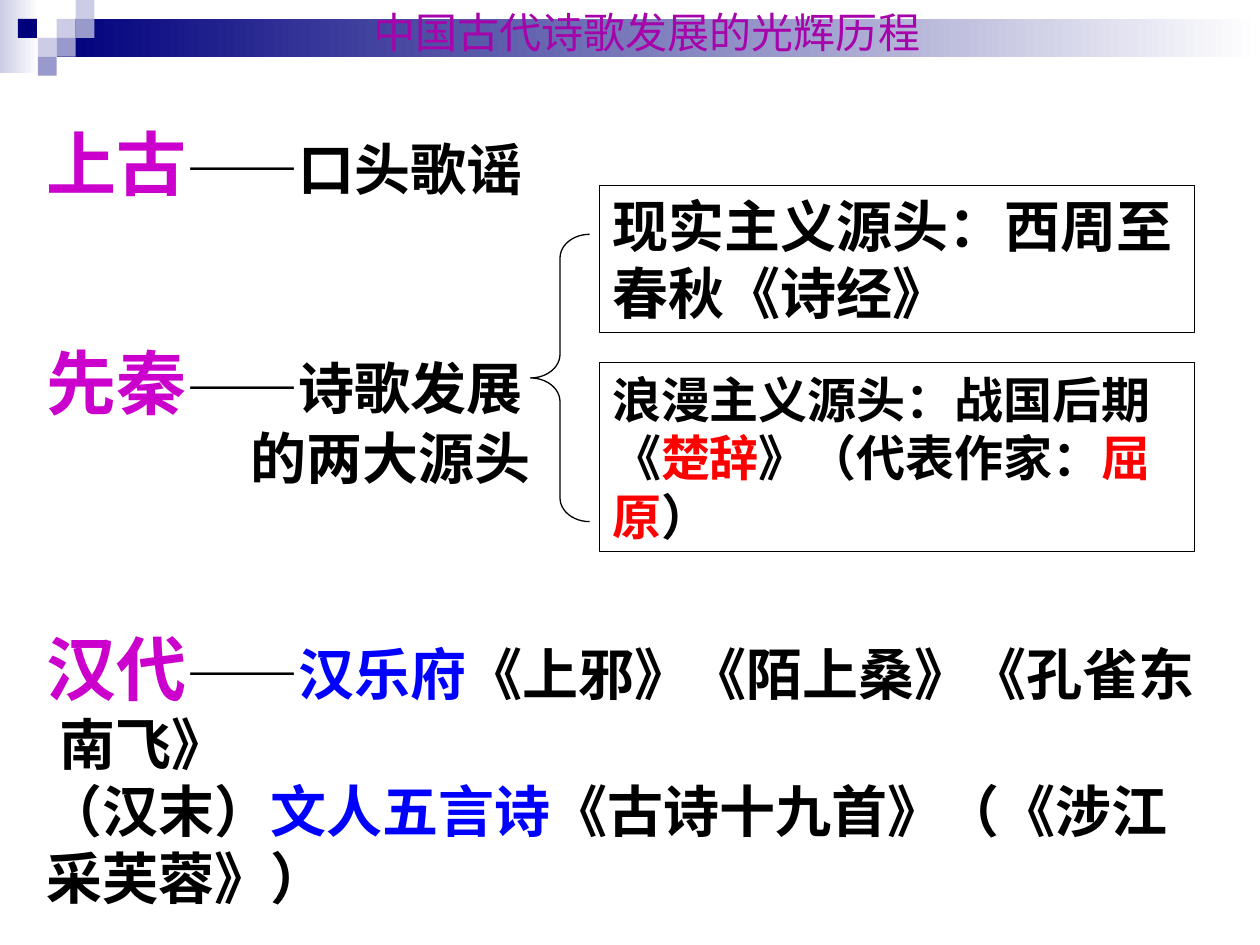
from pptx import Presentation
from pptx.dml.color import RGBColor
from pptx.enum.shapes import MSO_SHAPE as Shape
from pptx.enum.text import MSO_ANCHOR as Anchor, PP_ALIGN as Align
from pptx.oxml.ns import qn
from pptx.util import Inches, Pt

NAVY = RGBColor(0x00, 0x00, 0x7D)
PERIWINKLE = RGBColor(0x99, 0x99, 0xCC)
LAVENDER = RGBColor(0xCC, 0xCC, 0xE6)
WHITE = RGBColor(0xFF, 0xFF, 0xFF)
BLACK = RGBColor(0x00, 0x00, 0x00)
PURPLE = RGBColor(0xA6, 0x03, 0xAB)
MAGENTA = RGBColor(0xCC, 0x00, 0xCC)
BLUE = RGBColor(0x00, 0x00, 0xFF)
RED = RGBColor(0xFF, 0x00, 0x00)

SERIF, SANS, CJK = "Times New Roman", "Arial", "Noto Sans CJK SC"


def add_run(paragraph, text, color, size, latin=SERIF, bold=True):
    run = paragraph.add_run()
    run.text = text
    run.font.size = Pt(size)
    run.font.bold = bold
    run.font.color.rgb = color
    run.font.name = latin
    east_asian = run.font._element.makeelement(qn("a:ea"), {"typeface": CJK})
    run.font._element.find(qn("a:latin")).addnext(east_asian)


def add_block(slide, kind, left, top, width, height):
    block = slide.shapes.add_shape(
        kind, Inches(left), Inches(top), Inches(width), Inches(height))
    block.shadow.inherit = False
    block.fill.background()
    block.line.fill.background()
    return block


def fade_to_white(block, start):
    block.fill.gradient()
    block.fill.gradient_angle = 0
    for stop, color in zip(block.fill.gradient_stops, (start, WHITE)):
        stop.color.rgb = color


def add_header_band(slide, left, top, width):
    """Draw the two fading bars and the checkered corner squares."""
    side = 0.15
    fade_to_white(add_block(slide, Shape.RECTANGLE, left, top, 0.31, 0.58), LAVENDER)
    fade_to_white(add_block(slide, Shape.RECTANGLE, left + 3 * side, top + side,
                            width - 3 * side, 2 * side), NAVY)
    squares = [(3, 1, LAVENDER), (4, 0, LAVENDER), (4, 1, PERIWINKLE),
               (2, 2, LAVENDER), (0.95, 1, NAVY), (3, 2, PERIWINKLE),
               (2, 3, PERIWINKLE)]
    for column, row, color in squares:
        square = add_block(slide, Shape.RECTANGLE, left + column * side,
                           top + row * side, side, side)
        square.fill.solid()
        square.fill.fore_color.rgb = color


def add_text_frame(slide, left, top, width, height):
    frame = slide.shapes.add_textbox(
        Inches(left), Inches(top), Inches(width), Inches(height)).text_frame
    frame.word_wrap = True
    return frame


def add_title(slide, left, top, width, height):
    heading = add_text_frame(slide, left, top, width, height).paragraphs[0]
    heading.alignment = Align.CENTER
    add_run(heading, "中国古代诗歌发展的光辉历程", PURPLE, 24, CJK, bold=False)


def add_timeline(slide, left, top, width, height):
    era_gap = 77
    # space before (pt), left margin (in), first-line indent (in), runs
    entries = [
        (0, 0, 0, [("上古", MAGENTA, 40), ("——口头歌谣", BLACK, 32)]),
        (era_gap, 0, 0, [("先秦", MAGENTA, 40), ("——诗歌发展", BLACK, 32)]),
        (0, 1.62, 0, [("的两大源头", BLACK, 32)]),
        (era_gap, 0.1, -0.1, [("汉代", MAGENTA, 40), ("——", BLACK, 32),
                              ("汉乐府", BLUE, 32),
                              ("《上邪》《陌上桑》《孔雀东南飞》", BLACK, 32)]),
        (0, 0, 0, [("（汉末）", BLACK, 32), ("文人五言诗", BLUE, 32),
                   ("《古诗十九首》（《涉江采芙蓉》）", BLACK, 32)]),
    ]
    frame = add_text_frame(slide, left, top, width, height)
    for index, (gap, margin, indent, runs) in enumerate(entries):
        entry = frame.add_paragraph() if index else frame.paragraphs[0]
        entry.space_before = Pt(gap)
        properties = entry._p.get_or_add_pPr()
        properties.set("marL", str(Inches(margin)))
        properties.set("indent", str(Inches(indent)))
        for run in runs:
            add_run(entry, *run)


def outline(block):
    block.line.color.rgb = BLACK
    block.line.width = Pt(0.75)


def add_source_box(slide, left, top, width, height, runs):
    box = add_block(slide, Shape.RECTANGLE, left, top, width, height)
    outline(box)
    frame = box.text_frame
    frame.word_wrap = True
    frame.vertical_anchor = Anchor.TOP
    frame.paragraphs[0].alignment = Align.LEFT
    for run in runs:
        add_run(frame.paragraphs[0], *run)


def add_two_sources(slide, left, top, width):
    """Draw the brace and the two boxes it opens onto."""
    brace = add_block(slide, Shape.LEFT_BRACE, left, top + 0.39, 0.47, 2.28)
    brace.adjustments[0] = 0.4
    outline(brace)

    box_left, box_width = left + 0.55, width - 0.55
    add_source_box(slide, box_left, top, box_width, 1.17,
                   [("现实主义源头：西周至春秋《诗经》", BLACK, 32)])
    add_source_box(slide, box_left, top + 1.41, box_width, 1.5, [
        ("浪漫主义源头：战国后期《", BLACK, 28),
        ("楚辞", RED, 28),
        ("》", BLACK, 28),
        ("（代表作家：", BLACK, 28, SANS),
        ("屈原", RED, 28, SANS),
        ("）", BLACK, 28, SANS),
    ])


def main():
    deck = Presentation()
    deck.slide_width, deck.slide_height = Inches(10), Inches(7.5)
    slide = deck.slides.add_slide(deck.slide_layouts[6])
    add_header_band(slide, 0, 0, 10)
    add_title(slide, 0.27, 0, 9.73, 0.68)
    add_timeline(slide, 0.27, 0.91, 9.45, 6.5)
    add_two_sources(slide, 4.21, 1.47, 5.27)
    deck.save("out.pptx")


if __name__ == "__main__":
    main()
